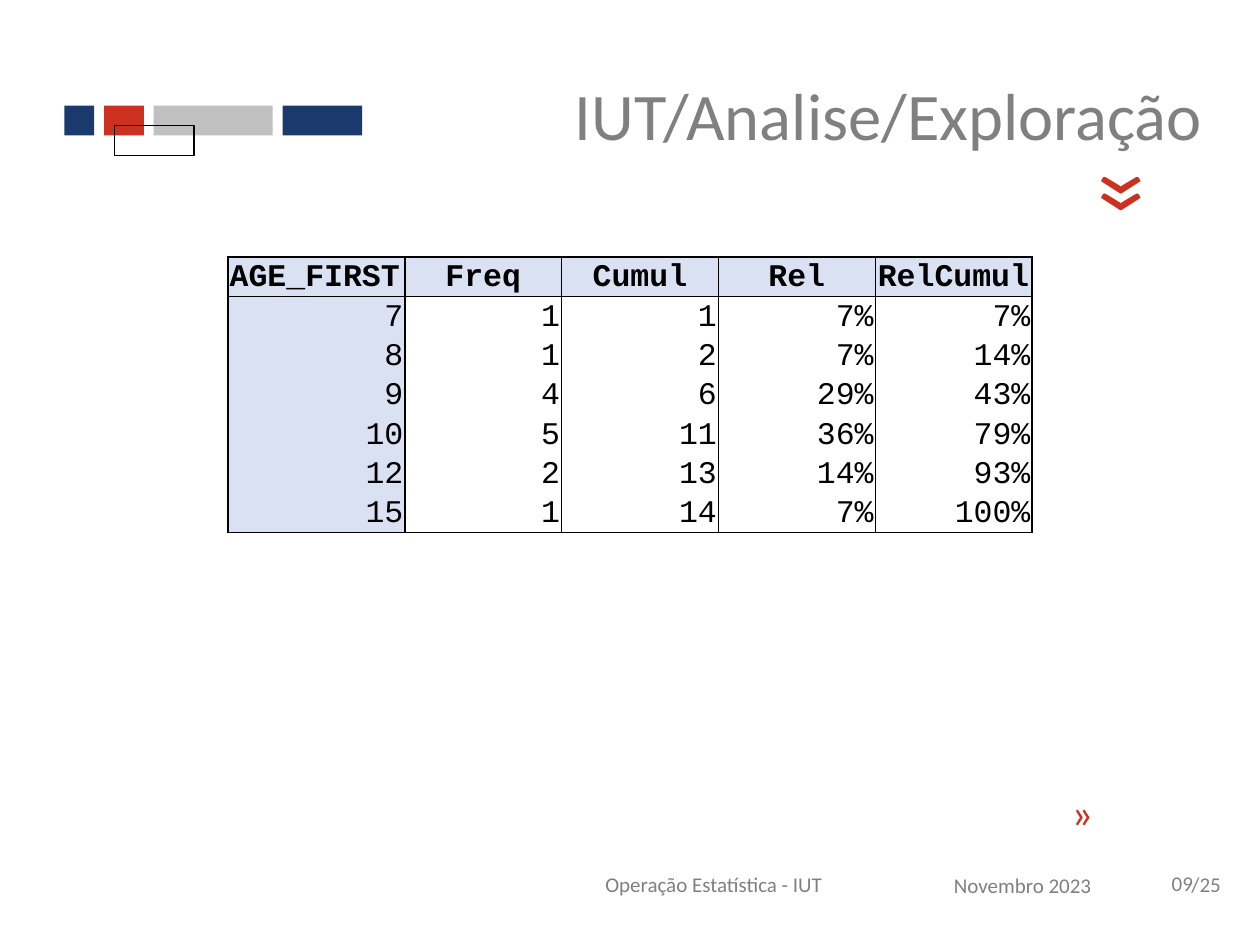
from dataclasses import dataclass

import pptx
import pptx.dml.color
import pptx.enum.shapes
import pptx.enum.text
import pptx.oxml
import pptx.oxml.ns
import pptx.util

Cm = pptx.util.Cm
Pt = pptx.util.Pt
ALIGN = pptx.enum.text.PP_ALIGN
ANCHOR = pptx.enum.text.MSO_ANCHOR


@dataclass(frozen=True)
class Theme:
    navy: str = "1A3A6E"
    red: str = "CC301F"
    silver: str = "C0C0C0"
    grey: str = "808080"
    black: str = "000000"
    pale_blue: str = "D9E1F2"
    body_font: str = "Calibri"
    table_font: str = "Courier New"
    title_size: int = 38
    footer_size: int = 12
    table_size: int = 18
    big_mark_size: int = 60
    small_mark_size: int = 24
    outer_rule: float = 1
    inner_rule: float = 0.5


THEME = Theme()

HEADINGS = ["AGE_FIRST", "Freq", "Cumul", "Rel", "RelCumul"]
FREQUENCIES = [
    ["7", "1", "1", "7%", "7%"],
    ["8", "1", "2", "7%", "14%"],
    ["9", "4", "6", "29%", "43%"],
    ["10", "5", "11", "36%", "79%"],
    ["12", "2", "13", "14%", "93%"],
    ["15", "1", "14", "7%", "100%"],
]


def rgb(color):
    return pptx.dml.color.RGBColor.from_string(color)


def write(frame, text, size=THEME.footer_size, font=THEME.body_font,
          color=THEME.grey, bold=False, align=ALIGN.LEFT, indent=0):
    paragraph = frame.paragraphs[0]
    paragraph.alignment = align
    if indent:
        paragraph._p.get_or_add_pPr().set("marL", str(Cm(indent)))
    run = paragraph.add_run()
    run.text = text
    run.font.size = Pt(size)
    run.font.name = font
    run.font.bold = bold
    run.font.color.rgb = rgb(color)


def add_text(slide, box, text, anchor=ANCHOR.MIDDLE, rotation=0, **text_format):
    label = slide.shapes.add_textbox(*map(Cm, box))
    label.rotation = rotation
    label.text_frame.word_wrap = True
    label.text_frame.vertical_anchor = anchor
    write(label.text_frame, text, **text_format)


def add_bar(slide, box, fill=None):
    bar = slide.shapes.add_shape(
        pptx.enum.shapes.MSO_SHAPE.RECTANGLE, *map(Cm, box))
    bar.shadow.inherit = False
    if fill:
        bar.fill.solid()
        bar.fill.fore_color.rgb = rgb(fill)
        bar.line.fill.background()
    else:
        bar.fill.background()
        bar.line.color.rgb = rgb(THEME.black)
        bar.line.width = Pt(0.75)


def add_emblem(slide, box):
    left, top, _, height = box
    gap = 0.2
    bar_left = left
    for width, fill in [(0.6, THEME.navy), (0.8, THEME.red),
                        (2.4, THEME.silver), (1.6, THEME.navy)]:
        add_bar(slide, (bar_left, top, width, height), fill)
        bar_left += width + gap
    add_bar(slide, (left + 1.01, top + 0.4, 1.6, height))


def add_header(slide, box):
    left, top, width, height = box
    add_text(slide, (left, top, width, height), "IUT/Analise/Exploração",
             size=THEME.title_size, align=ALIGN.RIGHT)
    add_text(slide, (left + width - 2.9, top + 1.5, 1.4, 2.79), "«",
             anchor=ANCHOR.TOP, rotation=270,
             size=THEME.big_mark_size, color=THEME.red)


def set_border(cell, side, width):
    border = pptx.oxml.parse_xml(
        f'<a:ln{side} {pptx.oxml.ns.nsdecls("a")} w="{Pt(width)}">'
        + (f'<a:solidFill><a:srgbClr val="{THEME.black}"/></a:solidFill>'
           if width else "<a:noFill/>")
        + f"</a:ln{side}>")
    cell._tc.get_or_add_tcPr().append(border)


def format_cell(cell, text, row, column, last_row, last_column):
    outer, inner = THEME.outer_rule, THEME.inner_rule
    set_border(cell, "L", outer if column <= 1 else inner)
    set_border(cell, "R", outer if column in (0, last_column) else inner)
    set_border(cell, "T", outer if row <= 1 else 0)
    set_border(cell, "B", outer if row in (0, last_row) else 0)
    if row == 0 or column == 0:
        cell.fill.solid()
        cell.fill.fore_color.rgb = rgb(THEME.pale_blue)
    else:
        cell.fill.background()
    cell.margin_left = cell.margin_right = cell.margin_top = Cm(0.03)
    cell.margin_bottom = 0
    cell.vertical_anchor = ANCHOR.BOTTOM
    if row:
        align = ALIGN.RIGHT
    else:
        align = ALIGN.CENTER if column else ALIGN.LEFT
    write(cell.text_frame, text, size=THEME.table_size, font=THEME.table_font,
          color=THEME.black, bold=row == 0, align=align)


def add_frequency_table(slide, box):
    rows = [HEADINGS, *FREQUENCIES]
    table = slide.shapes.add_table(
        len(rows), len(HEADINGS), *map(Cm, box)).table
    table.first_row = table.horz_banding = False
    first_width = 3.56
    other_width = (box[2] - first_width) / (len(HEADINGS) - 1)
    for column, grid_column in enumerate(table.columns):
        grid_column.width = Cm(other_width if column else first_width)
    for row, values in enumerate(rows):
        table.rows[row].height = Cm(box[3] / len(rows))
        for column, text in enumerate(values):
            format_cell(table.cell(row, column), text, row, column,
                        len(rows) - 1, len(HEADINGS) - 1)


def add_footer(slide, box):
    left, top, _, height = box
    add_text(slide, (left + 12.62, top, 2.39, height), "/25", indent=0.66)
    add_text(slide, (left, top, 7.8, height), "Operação Estatística - IUT",
             align=ALIGN.CENTER)
    add_text(slide, (left + 7.8, top + 0.03, 4.65, height), "Novembro 2023",
             align=ALIGN.CENTER)
    add_text(slide, (left + 12.88, top + 0.3, 1.12, 0.76), "09",
             anchor=ANCHOR.TOP)
    add_text(slide, (left + 10.51, top - 1.14, 1.3, 1.27), "«",
             anchor=ANCHOR.TOP, rotation=180,
             size=THEME.small_mark_size, color=THEME.red)


def main():
    presentation = pptx.Presentation()
    presentation.slide_width = Cm(25.4)
    presentation.slide_height = Cm(19.05)
    slide = presentation.slides.add_slide(presentation.slide_layouts[6])
    add_emblem(slide, (1.3, 2.13, 6, 0.6))
    add_footer(slide, (10.49, 17.12, 15.01, 1.4))
    add_header(slide, (7.7, 1.12, 16.79, 2.36))
    add_frequency_table(slide, (4.6, 5.18, 16.2, 5.51))
    presentation.save("out.pptx")


if __name__ == "__main__":
    main()
